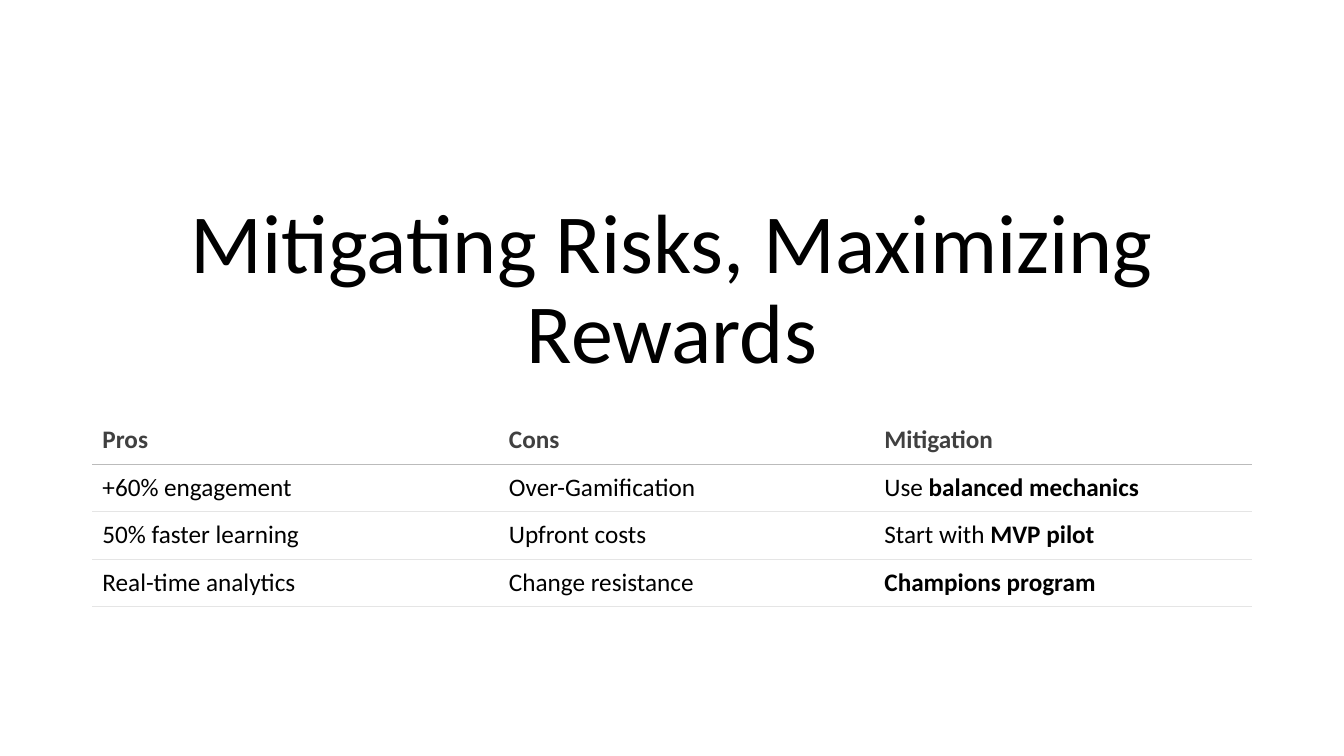
import pptx
import pptx.dml.color
import pptx.enum.text
import pptx.oxml
import pptx.oxml.ns
import pptx.util

Pt = pptx.util.Pt
FONT = "Calibri"
COLUMN_WIDTHS = (291.6, 268.2, 268.2)
ROW_HEIGHT = 34
HEADERS = ("Pros", "Cons", "Mitigation")
ROWS = (
    ("+60% engagement", "Over-Gamification", ("Use ", "balanced mechanics")),
    ("50% faster learning", "Upfront costs", ("Start with ", "MVP pilot")),
    ("Real-time analytics", "Change resistance", ("", "Champions program")),
)


def color(value):
    """Return the colour for a hex string."""
    return pptx.dml.color.RGBColor.from_string(value)


def format_run(run, size, text_color, bold=False):
    """Set the font of a run."""
    run.font.name = FONT
    run.font.size = Pt(size)
    run.font.bold = bold
    run.font.color.rgb = color(text_color)


def add_title(slide, text):
    """Add the large centred title."""
    shape = slide.shapes.add_textbox(Pt(120), Pt(88.4), Pt(720), Pt(188))
    text_frame = shape.text_frame
    text_frame.word_wrap = True
    text_frame.vertical_anchor = pptx.enum.text.MSO_ANCHOR.BOTTOM
    text_frame.text = text
    paragraph = text_frame.paragraphs[0]
    paragraph.alignment = pptx.enum.text.PP_ALIGN.CENTER
    paragraph.line_spacing = 0.9
    format_run(paragraph.runs[0], 60, "000000")


def set_borders(cell, top, bottom):
    """Draw the given top and bottom lines and hide the side lines."""
    properties = cell._tc.get_or_add_tcPr()
    sides = (("lnL", None), ("lnR", None), ("lnT", top), ("lnB", bottom))
    for index, (side, line_color) in enumerate(sides):
        fill = "<a:noFill/>"
        if line_color:
            fill = f'<a:solidFill><a:srgbClr val="{line_color}"/></a:solidFill>'
        namespace = pptx.oxml.ns.nsdecls("a")
        line = f'<a:{side} {namespace} w="{int(Pt(0.48))}">{fill}</a:{side}>'
        properties.insert(index, pptx.oxml.parse_xml(line))


def fill_cell(cell, content, text_color, header, first):
    """Write a cell from plain text or a plain and bold pair."""
    cell.fill.solid()
    cell.fill.fore_color.rgb = color("FFFFFF")
    cell.vertical_anchor = pptx.enum.text.MSO_ANCHOR.MIDDLE
    cell.margin_left = Pt(7.2 if first else 6)
    cell.margin_right = cell.margin_top = cell.margin_bottom = Pt(6)
    plain, strong = (content, "") if isinstance(content, str) else content
    paragraph = cell.text_frame.paragraphs[0]
    for text, bold in ((plain, header), (strong, True)):
        if text:
            run = paragraph.add_run()
            run.text = text
            format_run(run, 18, text_color, bold)


def add_risk_table(slide):
    """Add the table of pros, cons and mitigations."""
    records = (HEADERS, *ROWS)
    table = slide.shapes.add_table(
        len(records), len(HEADERS), Pt(66), Pt(297.4),
        Pt(sum(COLUMN_WIDTHS)), Pt(ROW_HEIGHT * len(records)),
    ).table
    table.first_row = False
    table.horz_banding = False
    for column, width in zip(table.columns, COLUMN_WIDTHS):
        column.width = Pt(width)
    lines = (None, "BBBBBB", *["E5E5E5"] * len(ROWS))
    for row_index, record in enumerate(records):
        table.rows[row_index].height = Pt(ROW_HEIGHT)
        header = row_index == 0
        text_color = "404040" if header else "000000"
        for column_index, content in enumerate(record):
            cell = table.cell(row_index, column_index)
            fill_cell(cell, content, text_color, header, column_index == 0)
            set_borders(cell, lines[row_index], lines[row_index + 1])


def main():
    """Build and save the slide."""
    presentation = pptx.Presentation()
    presentation.slide_width = Pt(960)
    presentation.slide_height = Pt(540)
    slide = presentation.slides.add_slide(presentation.slide_layouts[6])
    add_title(slide, "Mitigating Risks, Maximizing Rewards")
    add_risk_table(slide)
    presentation.save("out.pptx")


if __name__ == "__main__":
    main()
